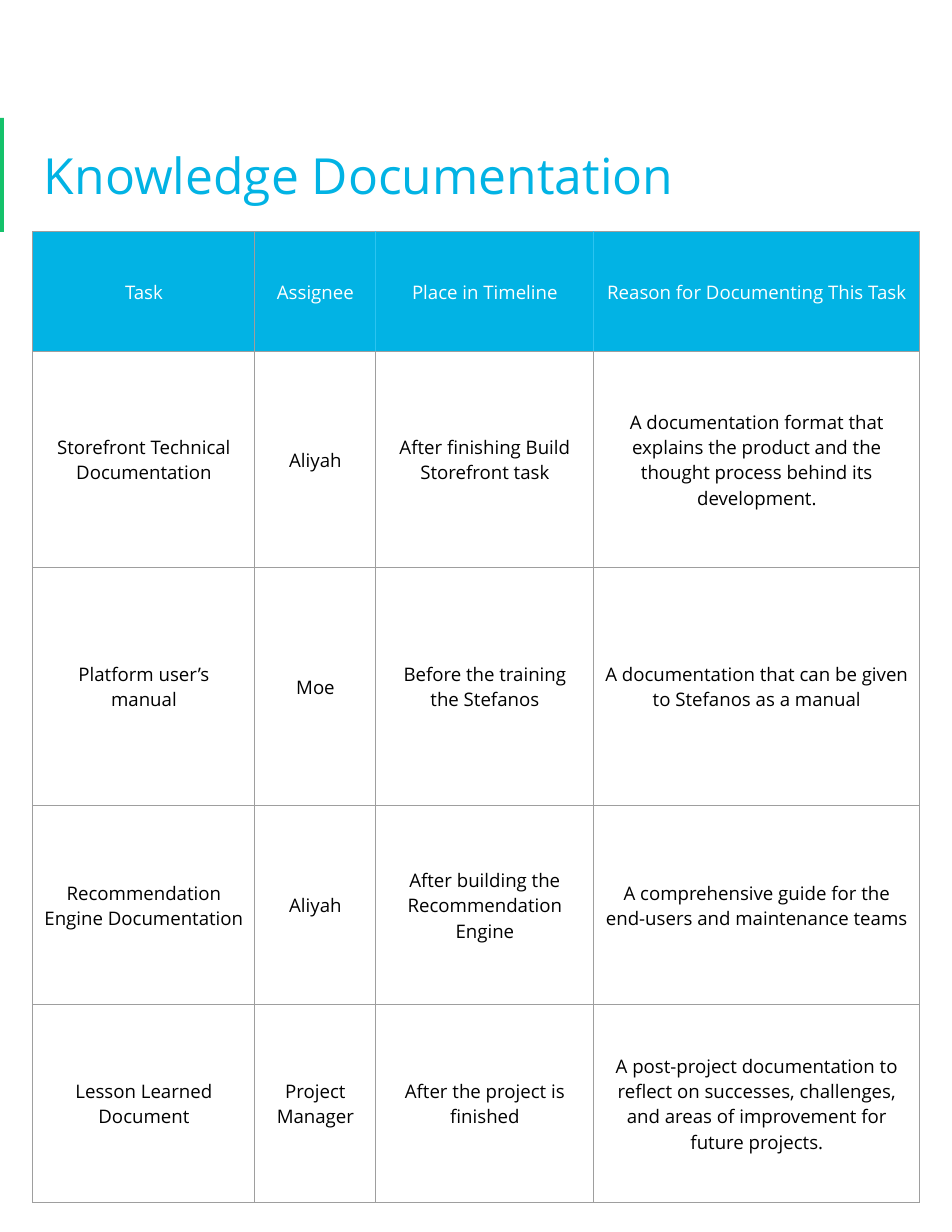
from dataclasses import dataclass
from itertools import product

from lxml import etree
from pptx import Presentation
from pptx.dml.color import RGBColor
from pptx.enum.shapes import MSO_SHAPE
from pptx.enum.text import MSO_ANCHOR, PP_ALIGN
from pptx.oxml.ns import qn
from pptx.slide import Slide
from pptx.table import _Cell
from pptx.util import Emu, Pt

RECT = MSO_SHAPE.RECTANGLE
MIDDLE = MSO_ANCHOR.MIDDLE
CENTER = PP_ALIGN.CENTER

BLUE = RGBColor(0x02, 0xB3, 0xE4)
LIGHT = RGBColor(0x2C, 0xC4, 0xF0)
GREEN = RGBColor(0x15, 0xC2, 0x6B)
GREY = RGBColor(0x9E, 0x9E, 0x9E)
WHITE = RGBColor(0xFF, 0xFF, 0xFF)
BLACK = RGBColor(0, 0, 0)

FONT = "Open Sans"
SCALE = 914400 / 112
INSET = 11
LINE = Pt(0.75)


@dataclass(frozen=True)
class Box:
    left: int
    top: int
    width: int
    height: int

    def emu(self) -> tuple[Emu, ...]:
        return tuple(map(px, (self.left, self.top, self.width, self.height)))


@dataclass(frozen=True)
class Task:
    name: str
    owner: str
    time: str
    reason: str

    def texts(self) -> tuple[str, ...]:
        return self.name, self.owner, self.time, self.reason


PAGE = Box(0, 0, 952, 1232)
BAR = Box(0, 118, 4, 114)
TITLE = Box(33, 106, 887, 137)
COLS = (222, 121, 218, 326)
ROWS = (120, 216, 238, 199, 198)
GRID = Box(33, 232, sum(COLS), sum(ROWS))

TASKS = (
    Task("Task", "Assignee", "Place in Timeline", "Reason for Documenting This Task"),
    Task("Storefront Technical Documentation", "Aliyah",
         "After finishing Build Storefront task",
         "A documentation format that explains the product and the thought process "
         "behind its development."),
    Task("Platform user’s manual", "Moe", "Before the training the Stefanos",
         "A documentation that can be given to Stefanos as a manual"),
    Task("Recommendation Engine Documentation", "Aliyah",
         "After building the Recommendation Engine",
         "A comprehensive guide for the end-users and maintenance teams"),
    Task("Lesson Learned Document", "Project Manager", "After the project is finished",
         "A post-project documentation to reflect on successes, challenges, "
         "and areas of improvement for future projects."),
)


def px(count: int) -> Emu:
    return Emu(round(count * SCALE))


def draw_bar(slide: Slide) -> None:
    bar = slide.shapes.add_shape(RECT, *BAR.emu())
    bar.shadow.inherit = False
    bar.fill.solid()
    bar.fill.fore_color.rgb = GREEN
    bar.line.fill.background()


def draw_title(slide: Slide, text: str) -> None:
    frame = slide.shapes.add_textbox(*TITLE.emu()).text_frame
    frame.word_wrap = True
    frame.vertical_anchor = MIDDLE
    frame.margin_left = frame.margin_right = px(INSET)
    frame.margin_top = frame.margin_bottom = px(INSET)
    frame.text = text
    font = frame.paragraphs[0].font
    font.name, font.size = FONT, Pt(32)
    font.color.rgb = BLUE


def add_edge(cell: _Cell, side: str, color: RGBColor) -> None:
    props = cell._tc.get_or_add_tcPr()
    edge = etree.SubElement(props, qn(f"a:ln{side}"), w=str(LINE))
    fill = etree.SubElement(edge, qn("a:solidFill"))
    etree.SubElement(fill, qn("a:srgbClr"), val=str(color))


def fill_cell(cell: _Cell, text: str, row: int, col: int) -> None:
    head = row == 0
    edges = {
        "L": LIGHT if head and col > 1 else GREY,
        "R": LIGHT if head and col in (1, 2) else GREY,
        "T": GREY,
        "B": GREY,
    }
    for side, color in edges.items():
        add_edge(cell, side, color)
    if head:
        cell.fill.solid()
        cell.fill.fore_color.rgb = BLUE
    else:
        cell.fill.background()
    cell.vertical_anchor = MIDDLE
    cell.margin_left = cell.margin_right = px(INSET)
    cell.margin_top = cell.margin_bottom = px(INSET)
    cell.text = text
    para = cell.text_frame.paragraphs[0]
    para.alignment = CENTER
    para.font.name, para.font.size = FONT, Pt(12)
    para.font.bold = False
    para.font.color.rgb = WHITE if head else BLACK


def draw_table(slide: Slide) -> None:
    table = slide.shapes.add_table(len(ROWS), len(COLS), *GRID.emu()).table
    table.first_row = table.horz_banding = False
    for column, width in zip(table.columns, COLS):
        column.width = px(width)
    for line, height in zip(table.rows, ROWS):
        line.height = px(height)
    for row, col in product(range(len(ROWS)), range(len(COLS))):
        fill_cell(table.cell(row, col), TASKS[row].texts()[col], row, col)


def main() -> None:
    """Build the knowledge documentation slide."""
    deck = Presentation()
    deck.slide_width, deck.slide_height = px(PAGE.width), px(PAGE.height)
    slide = deck.slides.add_slide(deck.slide_layouts[6])
    draw_bar(slide)
    draw_title(slide, "Knowledge Documentation")
    draw_table(slide)
    deck.save("out.pptx")


if __name__ == "__main__":
    main()
